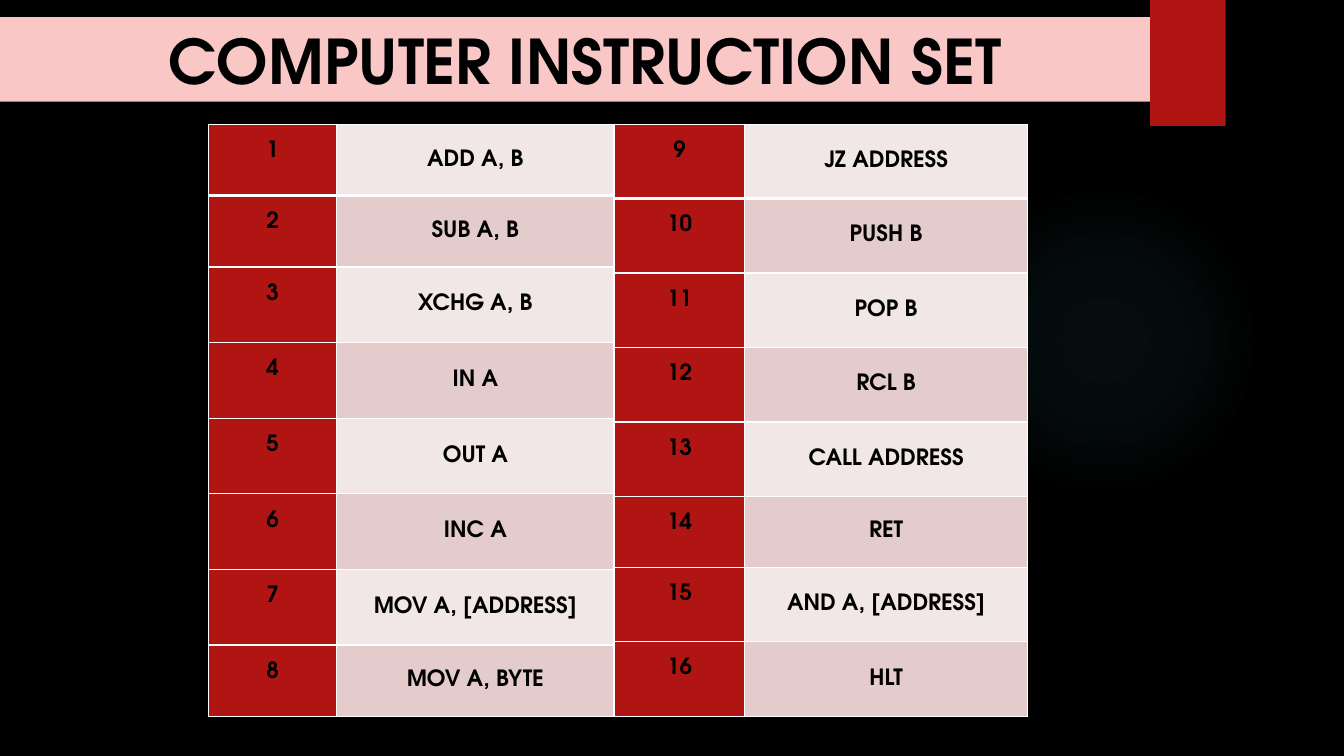
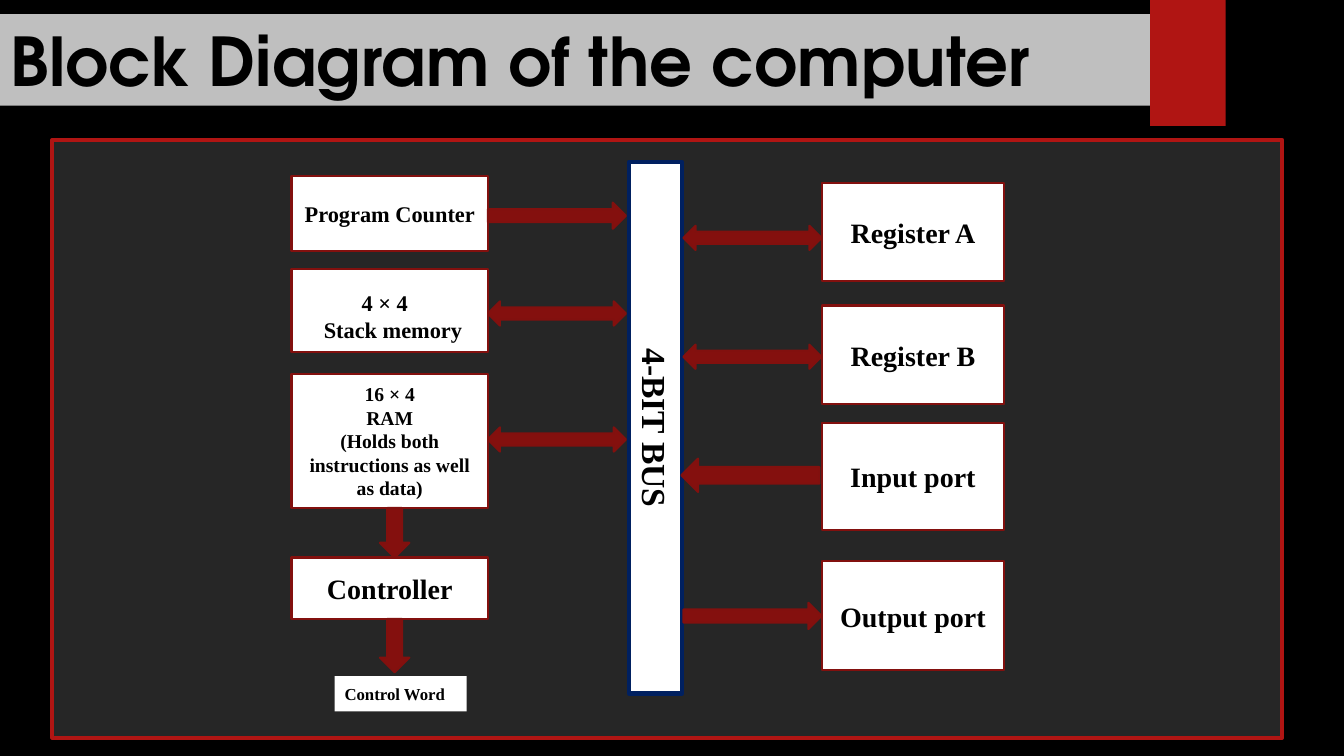
import pptx
import pptx.util
import pptx.dml.color
import pptx.enum.shapes
import pptx.enum.text
import pptx.oxml
import pptx.oxml.ns
import lxml.etree

Pt = pptx.util.Pt
RGB = pptx.dml.color.RGBColor
Kind = pptx.enum.shapes.MSO_SHAPE
Align = pptx.enum.text.PP_ALIGN
Anchor = pptx.enum.text.MSO_ANCHOR
qn = pptx.oxml.ns.qn

BLACK = RGB(0x00, 0x00, 0x00)
WHITE = RGB(0xFF, 0xFF, 0xFF)
RED = RGB(0xB0, 0x15, 0x13)
DARK = RGB(0x84, 0x10, 0x0E)
EDGE = RGB(0x82, 0x10, 0x0E)
NAVY = RGB(0x00, 0x20, 0x60)
PANEL = RGB(0x26, 0x26, 0x26)
PINK = RGB(0xF9, 0xC7, 0xC6)
GREY = RGB(0xBF, 0xBF, 0xBF)
PALE = RGB(0xF2, 0xE7, 0xE7)
ROSE = RGB(0xE4, 0xCC, 0xCC)
TEAL = RGB(0x50, 0xB9, 0xC1)

SANS = "TeX Gyre Adventor"
SERIF = "Times New Roman"


class Deck:
    """Holds the style and the current slide."""

    def __init__(self):
        self.prs = pptx.Presentation()
        self.prs.slide_width, self.prs.slide_height = Pt(960), Pt(540)
        back = self.prs.slide_master.background.fill
        back.solid()
        back.fore_color.rgb = BLACK
        self.slide = None

    def paint(self, shape, fill, line=None, width=1.5):
        shape.fill.solid()
        shape.fill.fore_color.rgb = fill
        if line is None:
            shape.line.fill.background()
        else:
            shape.line.color.rgb = line
            shape.line.width = Pt(width)

    def label(self, frame, text, size, face, align=Align.CENTER, dents=()):
        frame.text = text
        look = {"name": face, "size": Pt(size), "bold": True}
        for para in frame.paragraphs:
            para.alignment = align
            for key, val in look.items():
                setattr(para.font, key, val)
            para.font.color.rgb = BLACK
        for para, dent in zip(frame.paragraphs, dents):
            para._p.get_or_add_pPr().set("marL", str(Pt(dent)))

    def start(self, text, top, high, size, fill, align, left=7.2):
        """New slide with the title bar and the red tab."""
        self.slide = self.prs.slides.add_slide(self.prs.slide_layouts[5])
        title = self.slide.shapes.title
        place = {"left": 0, "top": Pt(top), "width": Pt(821.5), "height": Pt(high)}
        for key, val in place.items():
            setattr(title, key, val)
        self.paint(title, fill)
        frame = title.text_frame
        self.label(frame, text, size, SANS, align)
        look = {"auto_size": pptx.enum.text.MSO_AUTO_SIZE.NONE,
                "vertical_anchor": Anchor.MIDDLE, "word_wrap": True,
                "margin_left": Pt(left), "margin_top": Pt(3.6), "margin_bottom": Pt(3.6)}
        for key, val in look.items():
            setattr(frame, key, val)
        self.shape(Kind.RECTANGLE, 821.5, 0, 54, 90, RED)

    def shape(self, kind, x, y, w, h, fill, line=None, width=1.5):
        item = self.slide.shapes.add_shape(kind, Pt(x), Pt(y), Pt(w), Pt(h))
        item.shadow.inherit = False
        self.paint(item, fill, line, width)
        return item

    def box(self, text, x, y, w, h, size, line=EDGE, width=1.5, drop=0, **form):
        item = self.shape(Kind.RECTANGLE, x, y, w, h, WHITE, line, width)
        frame = item.text_frame
        self.label(frame, text, size, SERIF, **form)
        frame.word_wrap = True
        frame.vertical_anchor = Anchor.MIDDLE
        frame.margin_top = Pt(3.6 + drop)
        return item

    def arrow(self, kind, x, y, w, h):
        self.shape(kind, x, y, w, h, DARK, EDGE)

    def glow(self, x, y, side, stops):
        item = self.shape(Kind.OVAL, x, y, side, side, TEAL)
        grad = lxml.etree.Element(qn("a:gradFill"))
        marks = lxml.etree.SubElement(grad, qn("a:gsLst"))
        for pos, alpha in stops:
            stop = lxml.etree.SubElement(marks, qn("a:gs"), pos=str(pos * 1000))
            tint = lxml.etree.SubElement(stop, qn("a:srgbClr"), val=str(TEAL))
            lxml.etree.SubElement(tint, qn("a:alpha"), val=str(alpha * 1000))
        way = lxml.etree.SubElement(grad, qn("a:path"), {"path": "circle"})
        lxml.etree.SubElement(way, qn("a:fillToRect"), l="50000", t="50000", r="50000", b="50000")
        props = item._element.spPr
        props.replace(props.find(qn("a:solidFill")), grad)

    def border(self, cell, row):
        props = cell._tc.get_or_add_tcPr()
        wide = {(0, "B"), (1, "T")}
        for spot, side in enumerate("LRTB"):
            size = 3 if (row, side) in wide else 1
            edge = lxml.etree.Element(qn("a:ln" + side), w=str(Pt(size)))
            fill = lxml.etree.SubElement(edge, qn("a:solidFill"))
            lxml.etree.SubElement(fill, qn("a:srgbClr"), val=str(WHITE))
            props.insert(spot, edge)

    def table(self, x, y, cols, highs, names, first):
        grid = self.slide.shapes.add_table(
            len(names), 2, Pt(x), Pt(y), Pt(sum(cols)), Pt(sum(highs))).table
        for col, wide in zip(grid.columns, cols):
            col.width = Pt(wide)
        for row, (name, high) in enumerate(zip(names, highs)):
            grid.rows[row].height = Pt(high)
            pair = [(str(first + row), RED, Anchor.TOP, 12),
                    (name, (PALE, ROSE)[row % 2], Anchor.MIDDLE, 0)]
            for cell, (text, fill, anchor, top) in zip(grid.rows[row].cells, pair):
                self.label(cell.text_frame, text, 16, SANS)
                look = {"vertical_anchor": anchor, "margin_top": Pt(top),
                        "margin_bottom": 0, "margin_left": Pt(5), "margin_right": Pt(5)}
                for key, val in look.items():
                    setattr(cell, key, val)
                cell.fill.solid()
                cell.fill.fore_color.rgb = fill
                self.border(cell, row)


deck = Deck()

# Instruction set
deck.start("COMPUTER INSTRUCTION SET", 12.2, 60.5, 44, PINK, Align.CENTER, 22)
deck.glow(677.5, 131.8, 221.8, [(0, 7), (36, 6), (69, 0)])
deck.table(149, 88.7, (91.6, 198), [51] * 2 + [54] * 5 + [51],
           ["ADD A, B", "SUB A, B", "XCHG A, B", "IN A", "OUT A", "INC A",
            "MOV A, [ADDRESS]", "MOV A, BYTE"], 1)
deck.table(438.7, 88.7, (93.4, 201.8), [53.2] * 5 + [50.6] + [53.2] * 2,
           ["JZ ADDRESS", "PUSH B", "POP B", "RCL B", "CALL ADDRESS", "RET",
            "AND A, [ADDRESS]", "HLT"], 9)

# Block diagram: panel and bus
deck.start("Block Diagram of the computer", 10, 65.5, 48, GREY, Align.LEFT)
deck.shape(Kind.RECTANGLE, 37.4, 100, 878.4, 427, PANEL, RED, 3)
bus = deck.box("4-BIT BUS", 278.6, 286.6, 379.4, 38.2, 24, NAVY, 3)
bus.rotation = 90

# Memory and control on the left
LEFT, WIDE = 208.2, 140.4
deck.box("Program Counter", LEFT, 126, WIDE, 53.3, 16)
deck.box("4 × 4\nStack memory", LEFT, 192.2, WIDE, 59, 16, drop=8,
         align=Align.LEFT, dents=(43, 16))
deck.box("16 × 4\nRAM\n(Holds both instructions as well as data)",
         LEFT, 267.1, WIDE, 95.8, 14)
deck.box("Controller", LEFT, 398.2, WIDE, 43.9, 20)
deck.box("Control Word", 239, 483, 94.3, 25.2, 12, line=None, align=Align.LEFT)

# Registers and ports on the right
for name, y, h in [("Register A", 131, 69.8), ("Register B", 218.2, 70.6),
                   ("Input port", 302.4, 76.3), ("Output port", 401, 77.8)]:
    deck.box(name, 587, y, 130.3, h, 20)

# Arrows
BOTH, RIGHT, DOWN = Kind.LEFT_RIGHT_ARROW, Kind.RIGHT_ARROW, Kind.DOWN_ARROW
for y, h in [(362.9, 35.3), (442.1, 38.2)]:
    deck.arrow(DOWN, 271.4, y, 21, h)
for kind, x, y, h in [(RIGHT, 348.5, 144.7, 18.7), (BOTH, 348.5, 215.3, 17.3),
                      (BOTH, 348.5, 305.3, 17.3), (BOTH, 488.2, 161.3, 17.3),
                      (BOTH, 488.2, 246.2, 17.3), (RIGHT, 488.2, 430.6, 18.7),
                      (Kind.LEFT_ARROW, 486.7, 327.6, 23.8)]:
    deck.arrow(kind, x, y, 98.6, h)

deck.prs.save("out.pptx")
